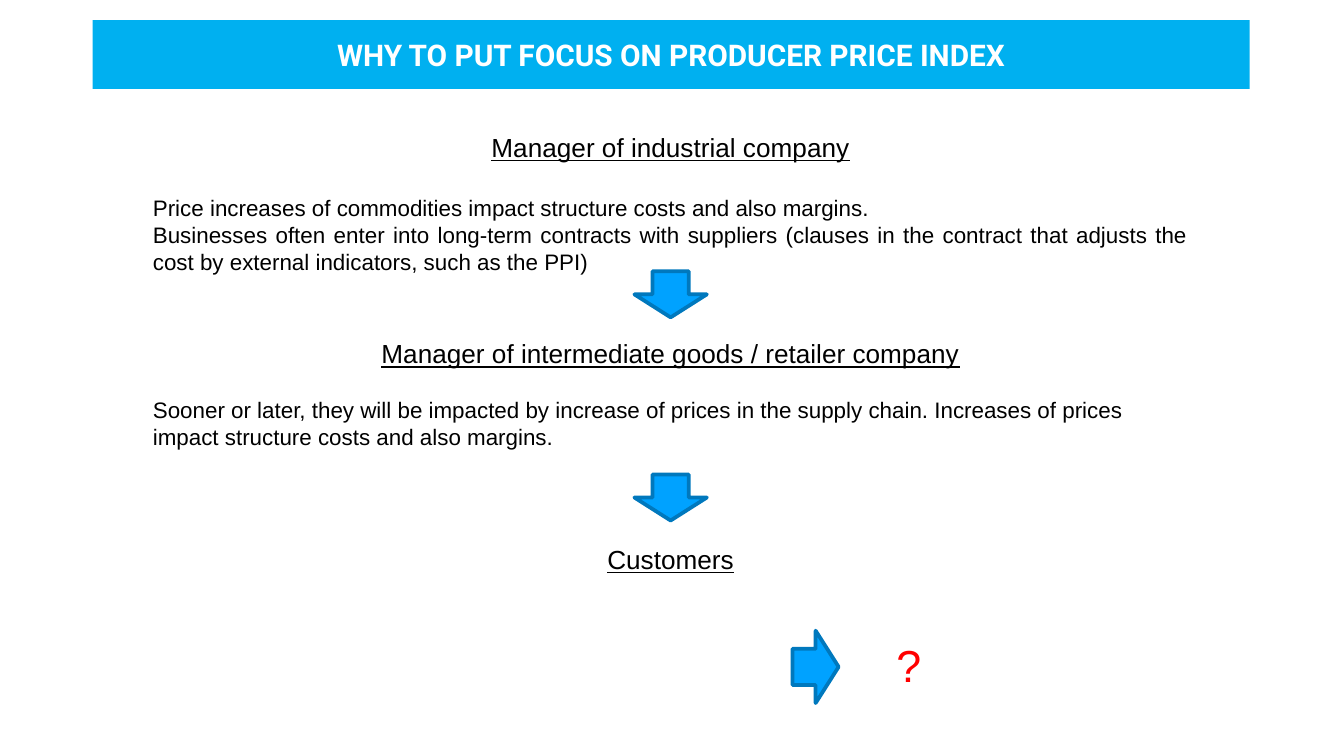
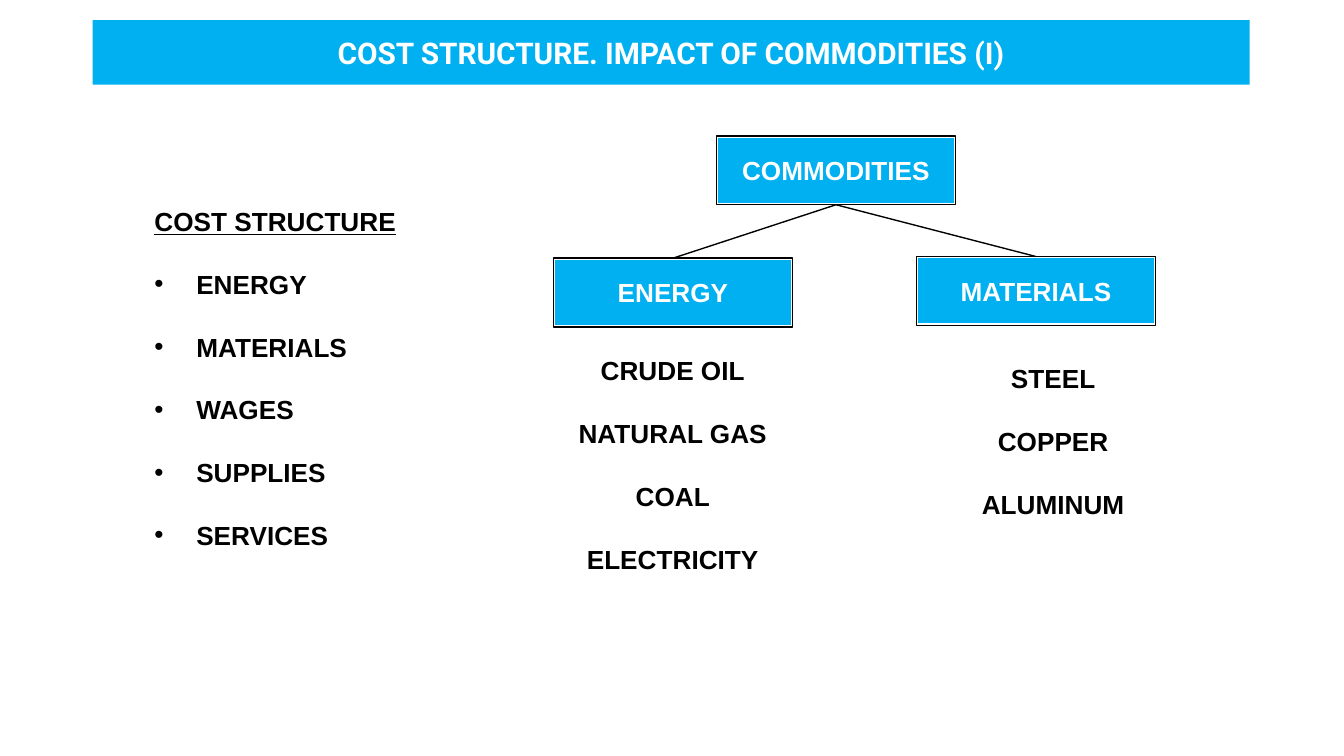
"""Build two slides on producer prices and the cost structure of a business."""

from dataclasses import dataclass, replace
from typing import Optional

import lxml.etree
import pptx
import pptx.dml.color
import pptx.enum.shapes
import pptx.enum.text
import pptx.oxml.ns
import pptx.shapes.autoshape
import pptx.shapes.base
import pptx.slide
import pptx.text.text
import pptx.util

Cm = pptx.util.Cm
Pt = pptx.util.Pt
Align = pptx.enum.text.PP_ALIGN
Preset = pptx.enum.shapes.MSO_SHAPE


@dataclass(frozen=True)
class Theme:
    band: str = "00B0F0"
    arrow: str = "00A2FF"
    arrow_edge: str = "0078BD"
    ink: str = "000000"
    paper: str = "FFFFFF"
    alert: str = "FF0000"
    title_font: str = "Roboto"
    body_font: str = "Arial"
    title_size: float = 16
    heading_size: float = 14
    body_size: float = 12
    mark_size: float = 24
    leading: float = 1.2
    thick: float = 2
    thin: float = 0.75


THEME = Theme()


@dataclass(frozen=True)
class Area:
    left: float
    top: float
    width: float
    height: float


@dataclass(frozen=True)
class Line:
    text: str
    size: float = THEME.heading_size
    colour: str = THEME.ink
    font: str = THEME.body_font
    bold: bool = False
    underline: bool = False
    align: Align = Align.LEFT
    gap: float = 0
    indent: float = 0
    bullet: bool = False


@dataclass(frozen=True)
class Arrow:
    left: float
    top: float
    rotation: float = 0


@dataclass(frozen=True)
class Node:
    label: str
    left: float
    top: float


def rgb(colour: str) -> pptx.dml.color.RGBColor:
    return pptx.dml.color.RGBColor.from_string(colour)


def write_span(para: pptx.text.text._Paragraph, line: Line) -> None:
    para.alignment = line.align
    span = para.add_run()
    span.text = line.text
    span.font.name = line.font
    span.font.size = Pt(line.size)
    span.font.bold = line.bold
    span.font.underline = line.underline
    span.font.color.rgb = rgb(line.colour)


def add_text(page: pptx.slide.Slide, area: Area, lines: list[Line]) -> None:
    box = page.shapes.add_textbox(
        Cm(area.left), Cm(area.top), Cm(area.width), Cm(area.height))
    frame = box.text_frame
    frame.word_wrap = True
    for index, line in enumerate(lines):
        para = frame.add_paragraph() if index else frame.paragraphs[0]
        write_span(para, line)
        para.line_spacing = Pt(line.size * THEME.leading)
        para.space_before = Pt(line.gap)
        properties = para._p.get_or_add_pPr()
        if line.indent:
            properties.set("marL", str(Cm(line.indent)))
        if line.bullet:
            properties.set("indent", str(-Cm(line.indent)))
            for tag, key, value in (("a:buFont", "typeface", THEME.body_font),
                                    ("a:buChar", "char", "•")):
                lxml.etree.SubElement(properties, pptx.oxml.ns.qn(tag)).set(key, value)


def add_shape(shapes, preset: Preset, area: Area, fill: Optional[str] = None,
              edge: Optional[str] = None, weight: float = THEME.thin,
              ) -> pptx.shapes.autoshape.Shape:
    shape = shapes.add_shape(
        preset, Cm(area.left), Cm(area.top), Cm(area.width), Cm(area.height))
    shape.shadow.inherit = False
    if fill:
        shape.fill.solid()
        shape.fill.fore_color.rgb = rgb(fill)
    else:
        shape.fill.background()
    if edge:
        shape.line.color.rgb = rgb(edge)
        shape.line.width = Pt(weight)
    else:
        shape.line.fill.background()
    return shape


def write_label(shape: pptx.shapes.autoshape.Shape, line: Line, inset: float) -> None:
    frame = shape.text_frame
    frame.word_wrap = True
    frame.vertical_anchor = pptx.enum.text.MSO_ANCHOR.MIDDLE
    frame.margin_left = frame.margin_right = Cm(inset)
    frame.margin_top = frame.margin_bottom = Cm(inset)
    write_span(frame.paragraphs[0], line)


def add_page(deck, title: str, band_height: float) -> pptx.slide.Slide:
    page = deck.slides.add_slide(deck.slide_layouts[6])
    page.background.fill.solid()
    page.background.fill.fore_color.rgb = rgb(THEME.paper)
    band = add_shape(page.shapes, Preset.RECTANGLE,
                     Area(1.75, 0.38, 21.87, band_height), THEME.band)
    write_label(band, Line(title, THEME.title_size, THEME.paper, THEME.title_font,
                           bold=True, align=Align.CENTER), 0.05)
    return page


def add_arrow(page: pptx.slide.Slide, arrow: Arrow) -> None:
    shape = add_shape(page.shapes, Preset.DOWN_ARROW,
                      Area(arrow.left, arrow.top, 1.37, 0.87),
                      THEME.arrow, THEME.arrow_edge, THEME.thick)
    shape.rotation = arrow.rotation


def add_node(page: pptx.slide.Slide, node: Node) -> pptx.shapes.autoshape.Shape:
    group = page.shapes.add_group_shape()
    area = Area(node.left, node.top, 4.52, 1.3)
    add_shape(group.shapes, Preset.RECTANGLE, area, THEME.band, THEME.paper, THEME.thick)
    frame = add_shape(group.shapes, Preset.RECTANGLE, area, edge=THEME.ink)
    write_label(frame, Line(node.label, colour=THEME.paper, bold=True,
                            align=Align.CENTER), 0.15)
    return frame


def add_branch(page: pptx.slide.Slide, parent: pptx.shapes.base.BaseShape,
               child: pptx.shapes.base.BaseShape) -> None:
    branch = page.shapes.add_connector(
        pptx.enum.shapes.MSO_CONNECTOR.STRAIGHT, 0, 0, 0, 0)
    branch.begin_connect(parent, 2)
    branch.end_connect(child, 0)
    branch.line.color.rgb = rgb(THEME.ink)
    branch.line.width = Pt(THEME.thin)
    lxml.etree.SubElement(branch._element.spPr, pptx.oxml.ns.qn("a:effectLst"))


def item_lines(items: list[str], style: Line) -> list[Line]:
    spacing = THEME.heading_size * THEME.leading
    return [replace(style, text=item, gap=spacing if index else 0)
            for index, item in enumerate(items)]


def build_focus(deck) -> None:
    page = add_page(deck, "WHY TO PUT FOCUS ON PRODUCER PRICE INDEX", 1.3)
    heading = Line("", underline=True, align=Align.CENTER)
    body = Line("", THEME.body_size)
    add_text(page, Area(2.64, 2.36, 20.07, 10.95), [
        replace(heading, text="Manager of industrial company"),
        replace(body, text="Price increases of commodities impact structure costs "
                "and also margins.", align=Align.JUSTIFY, gap=17),
        replace(body, text="Businesses often enter into long-term contracts with "
                "suppliers (clauses in the contract that adjusts the cost by "
                "external indicators, such as the PPI)", align=Align.JUSTIFY),
        replace(heading, text="Manager of intermediate goods / retailer company",
                gap=33.5),
        replace(body, text="Sooner or later, they will be impacted by increase of "
                "prices in the supply chain. Increases of prices impact structure "
                "costs and also margins.", gap=14.5),
        replace(heading, text="Customers", gap=50),
        Line("?", THEME.mark_size, THEME.alert, gap=34, indent=14.05),
    ])
    for arrow in (Arrow(11.99, 5.13), Arrow(11.99, 8.97), Arrow(14.73, 12.17, 270)):
        add_arrow(page, arrow)


def build_costs(deck) -> None:
    page = add_page(deck, "COST STRUCTURE. IMPACT OF COMMODITIES (I)", 1.22)
    costs = item_lines(
        ["COST STRUCTURE", "ENERGY", "MATERIALS", "WAGES", "SUPPLIES", "SERVICES"],
        Line("", bold=True, indent=0.79, bullet=True))
    costs[0] = replace(costs[0], underline=True, indent=0, bullet=False)
    add_text(page, Area(2.67, 3.76, 6.68, 6.83), costs)

    root, *children = [add_node(page, node) for node in (
        Node("COMMODITIES", 13.54, 2.57),
        Node("ENERGY", 10.46, 4.88),
        Node("MATERIALS", 17.32, 4.85))]
    for child in children:
        add_branch(page, root, child)

    centred = Line("", bold=True, align=Align.CENTER)
    add_text(page, Area(10.49, 6.58, 4.45, 5.05), item_lines(
        ["CRUDE OIL", "NATURAL GAS", "COAL", "ELECTRICITY"], centred))
    add_text(page, Area(17.68, 6.73, 4.45, 3.84), item_lines(
        ["STEEL", "COPPER", "ALUMINUM"], centred))


def main() -> None:
    deck = pptx.Presentation()
    deck.slide_width = Cm(25.4)
    deck.slide_height = Cm(14.29)
    build_focus(deck)
    build_costs(deck)
    deck.save("out.pptx")


main()
